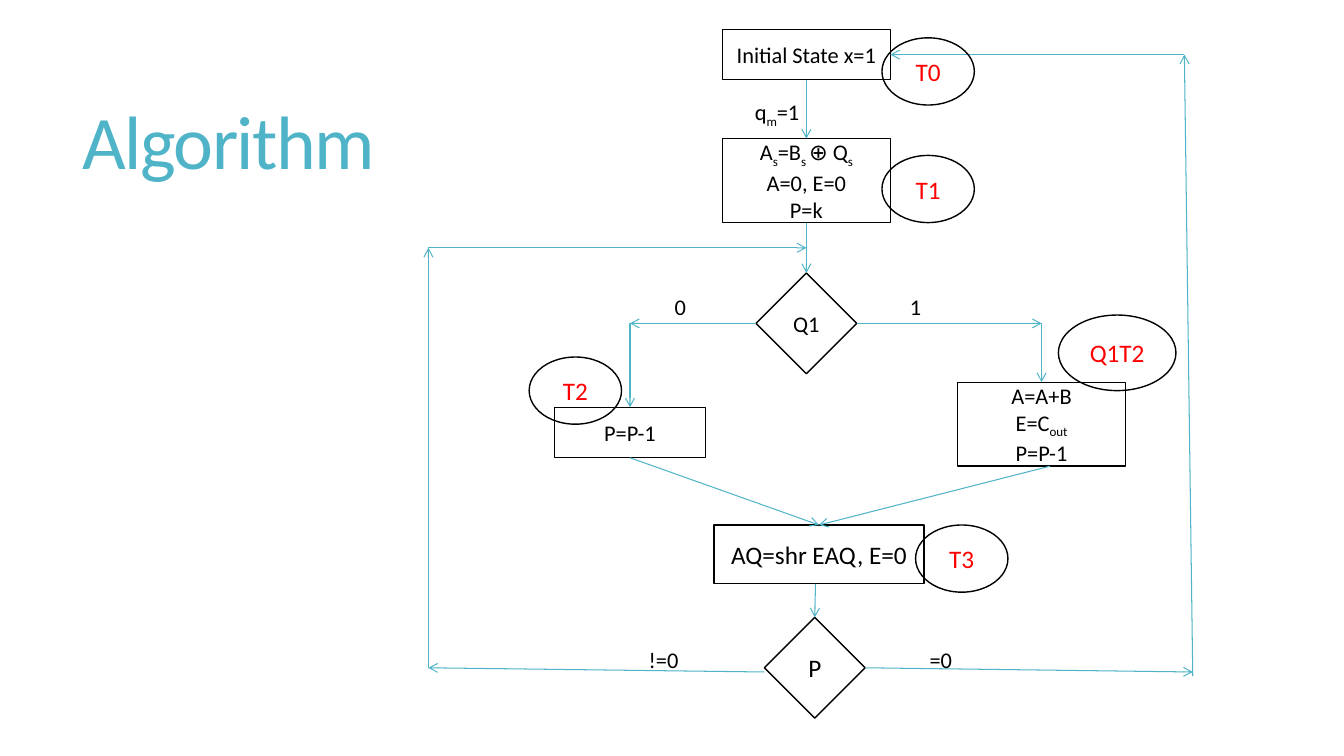
from dataclasses import dataclass
from typing import NamedTuple, Union

from lxml import etree
from pptx import Presentation
from pptx.dml.color import RGBColor
from pptx.enum.shapes import MSO_CONNECTOR, MSO_SHAPE
from pptx.enum.text import MSO_ANCHOR, MSO_AUTO_SIZE, PP_ALIGN
from pptx.oxml.ns import qn
from pptx.util import Pt

RECT, DIAMOND, OVAL = MSO_SHAPE.RECTANGLE, MSO_SHAPE.DIAMOND, MSO_SHAPE.OVAL
STRAIGHT = MSO_CONNECTOR.STRAIGHT
LEFT, CENTER = PP_ALIGN.LEFT, PP_ALIGN.CENTER
TOP, WEST, BOTTOM, EAST = range(4)

BLACK = RGBColor(0x00, 0x00, 0x00)
RED = RGBColor(0xFF, 0x00, 0x00)
TEAL = RGBColor(0x50, 0xB4, 0xC8)

FACE = "Calibri"
FRAME = {
    "word_wrap": True,
    "auto_size": MSO_AUTO_SIZE.NONE,
    "vertical_anchor": MSO_ANCHOR.MIDDLE,
}


@dataclass
class Node:
    kind: MSO_SHAPE
    x: float
    y: float
    w: float
    h: float
    text: str  # parts between underscores are subscripts
    size: int = 16
    color: RGBColor = BLACK


class Label(NamedTuple):
    x: float
    y: float
    w: float
    text: str


class Point(NamedTuple):
    x: float
    y: float


class Site(NamedTuple):
    node: str
    side: int


class Arrow(NamedTuple):
    start: Union[Point, Site]
    end: Union[Point, Site]


NODES = {
    "init": Node(RECT, 516, 21, 120, 36, "Initial State x=1"),
    "count": Node(RECT, 396, 291, 108, 36, "P=P-1"),
    "test": Node(DIAMOND, 540, 195, 72, 72, "Q1"),
    "load": Node(RECT, 516, 99, 120, 60, "A_s_=B_s _⊕ Q_s_\nA=0, E=0\nP=k"),
    "add": Node(RECT, 684, 273, 120, 60, "A=A+B\nE=C_out_\nP=P-1"),
    "done": Node(DIAMOND, 546, 441, 72, 72, "P", 18),
    "shift": Node(RECT, 510, 375, 150, 42, "AQ=shr EAQ, E=0", 18),
}

# Corners of the two loops and the two branches
LOW_LEFT, TOP_LEFT = Point(306, 477), Point(306, 177)
LOW_RIGHT, TOP_RIGHT = Point(852, 483), Point(846, 39)
ZERO, ONE = Point(450, 231), Point(744, 231)

ARROWS = [
    Arrow(Site("init", BOTTOM), Site("load", TOP)),
    Arrow(Site("load", BOTTOM), Site("test", TOP)),
    Arrow(Site("test", WEST), ZERO),
    Arrow(ZERO, Site("count", TOP)),
    Arrow(Site("test", EAST), ONE),
    Arrow(ONE, Site("add", TOP)),
    Arrow(Site("count", BOTTOM), Site("shift", TOP)),
    Arrow(Point(750, 333), Site("shift", TOP)),
    Arrow(Point(582.5, 417), Site("done", TOP)),
    Arrow(Point(546, 480), LOW_LEFT),
    Arrow(LOW_LEFT, TOP_LEFT),
    Arrow(TOP_LEFT, Point(576, 177)),
    Arrow(Site("done", EAST), Point(852, 480)),
    Arrow(LOW_RIGHT, TOP_RIGHT),
    Arrow(TOP_RIGHT, Site("init", EAST)),
]

LABELS = [
    Label(528, 63, 54, "q_m_=1"),
    Label(450, 201, 72, "0"),
    Label(618, 201, 72, "1"),
    Label(636, 453, 72, "=0"),
    Label(438, 453, 72, "!=0"),
]

STATES = [
    Node(OVAL, 630, 27, 66, 48, "T0", 18, RED),
    Node(OVAL, 378, 255, 66, 48, "T2", 18, RED),
    Node(OVAL, 756, 225, 84, 54, "Q1T2", 18, RED),
    Node(OVAL, 630, 111, 66, 48, "T1", 18, RED),
    Node(OVAL, 654, 375, 66, 48, "T3", 18, RED),
]


def write(shape, text: str, size: int, color: RGBColor, align=CENTER) -> None:
    frame = shape.text_frame
    for name, value in FRAME.items():
        setattr(frame, name, value)
    font = {"name": FACE, "size": Pt(size)}
    for row, line in enumerate(text.split("\n")):
        para = frame.add_paragraph() if row else frame.paragraphs[0]
        para.alignment = align
        for part, words in enumerate(line.split("_")):
            if not words:
                continue
            run = para.add_run()
            run.text = words
            for name, value in font.items():
                setattr(run.font, name, value)
            run.font.color.rgb = color
            if part % 2:
                run.font._element.set("baseline", "-25000")


def draw_node(shapes, node: Node):
    box = map(Pt, (node.x, node.y, node.w, node.h))
    shape = shapes.add_shape(node.kind, *box)
    shape.shadow.inherit = False
    shape.fill.background()
    shape.line.color.rgb = BLACK
    shape.line.width = Pt(1)
    write(shape, node.text, node.size, node.color)
    return shape


def draw_label(shapes, label: Label) -> None:
    box = shapes.add_textbox(Pt(label.x), Pt(label.y), Pt(label.w), Pt(36))
    write(box, label.text, 16, BLACK)


def place(site: Union[Point, Site]) -> Point:
    if isinstance(site, Point):
        return site
    node = NODES[site.node]
    across = {WEST: 0, EAST: 1}.get(site.side, 0.5)
    down = {TOP: 0, BOTTOM: 1}.get(site.side, 0.5)
    return Point(node.x + across * node.w, node.y + down * node.h)


def draw_arrow(shapes, arrow: Arrow, drawn: dict) -> None:
    ends = [Pt(v) for site in arrow for v in place(site)]
    line = shapes.add_connector(STRAIGHT, *ends)
    for site, join in zip(arrow, (line.begin_connect, line.end_connect)):
        if isinstance(site, Site):
            join(drawn[site.node], site.side)
    line.line.color.rgb = TEAL
    line.line.width = Pt(0.75)
    props = line._element.spPr
    etree.SubElement(props.find(qn("a:ln")), qn("a:tailEnd"), type="arrow")
    etree.SubElement(props, qn("a:effectLst"))


def draw_title(title) -> None:
    spot = {"left": 52, "top": 39.5, "width": 333, "height": 130.5}
    for name, value in spot.items():
        setattr(title, name, Pt(value))
    write(title, "Algorithm", 54, TEAL, LEFT)
    para = title.text_frame.paragraphs[0]
    para.line_spacing = 0.85
    para.runs[0].font._element.set("spc", "-120")


def main() -> None:
    deck = Presentation()
    deck.slide_width, deck.slide_height = Pt(960), Pt(540)
    shapes = deck.slides.add_slide(deck.slide_layouts[5]).shapes
    draw_title(shapes.title)

    # Flowchart steps, then the arrows that join them
    drawn = {name: draw_node(shapes, node) for name, node in NODES.items()}
    for arrow in ARROWS:
        draw_arrow(shapes, arrow, drawn)

    # Branch conditions and timing states
    for label in LABELS:
        draw_label(shapes, label)
    for state in STATES:
        draw_node(shapes, state)
    deck.save("out.pptx")


if __name__ == "__main__":
    main()
